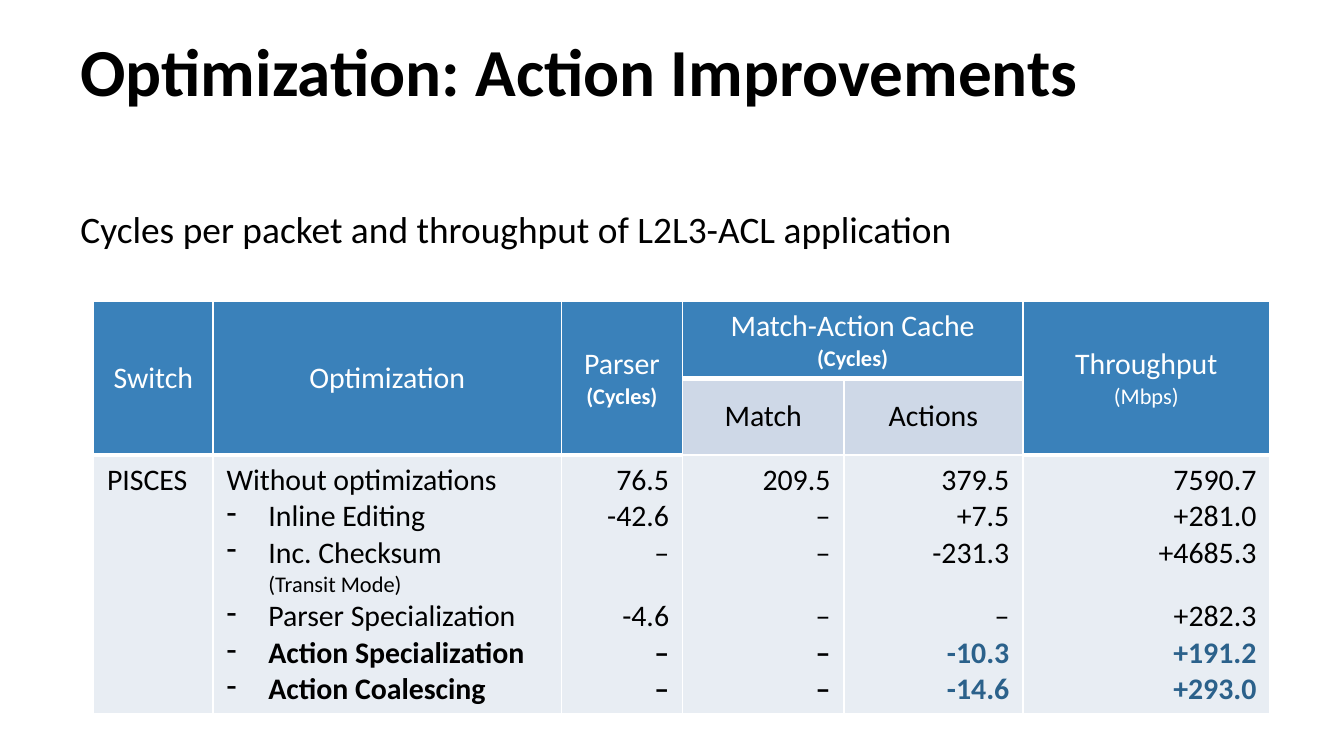
"""Build a slide with a table of action optimization results."""
from lxml import etree
from pptx import Presentation
from pptx.dml.color import RGBColor
from pptx.enum.text import MSO_ANCHOR, PP_ALIGN
from pptx.oxml import parse_xml
from pptx.oxml.ns import nsdecls, qn
from pptx.util import Cm, Pt

LEFT, CENTER, RIGHT = PP_ALIGN.LEFT, PP_ALIGN.CENTER, PP_ALIGN.RIGHT
TOP, MIDDLE, BOTTOM = MSO_ANCHOR.TOP, MSO_ANCHOR.MIDDLE, MSO_ANCHOR.BOTTOM
BLACK, WHITE, ACCENT = "000000", "FFFFFF", "2B618B"
HEADER_FILL, SUBHEADER_FILL, BODY_FILL = "3A81BA", "CED8E7", "E8EDF3"


def rgb(value):
    """Turn a hex string into a colour."""
    return RGBColor.from_string(value)


def style(paragraph, size, color=BLACK, bold=False, align=LEFT):
    """Set the alignment and font of a paragraph."""
    paragraph.alignment = align
    font = paragraph.font
    font.name, font.size, font.bold = "Calibri", Pt(size), bold
    font.color.rgb = rgb(color)


prs = Presentation()
prs.slide_width, prs.slide_height = Cm(25.4), Cm(14.29)
slide = prs.slides.add_slide(prs.slide_layouts[5])

title = slide.shapes.title
title.left, title.top, title.width, title.height = Cm(1.27), Cm(0.58), Cm(22.86), Cm(1.75)
title_frame = title.text_frame
title_frame.text = "Optimization: Action Improvements"
title_frame.vertical_anchor = BOTTOM
title_frame.margin_left = title_frame.margin_right = Cm(0.25)
title_frame.margin_top = title_frame.margin_bottom = Cm(0.25)
style(title_frame.paragraphs[0], 36, bold=True)

caption = slide.shapes.add_textbox(Cm(1.27), Cm(3.78), Cm(20.62), Cm(1.12)).text_frame
caption.word_wrap = True
caption.text = "Cycles per packet and throughput of L2L3-ACL application"
style(caption.paragraphs[0], 20)

column_widths = [2.26, 6.58, 2.29, 3.05, 3.38, 4.67]
row_heights = [1.45, 1.45, 4.9]
results = slide.shapes.add_table(
    3, 6, Cm(1.77), Cm(5.7), Cm(sum(column_widths)), Cm(sum(row_heights))
).table
results.first_row = results.horz_banding = False
for column, width in zip(results.columns, column_widths):
    column.width = Cm(width)
for row, height in zip(results.rows, row_heights):
    row.height = Cm(height)

for row_index in range(3):
    for column_index in range(6):
        cell = results.cell(row_index, column_index)
        for side in "LRTB":
            points = 3 if row_index == 0 and side == "B" else 1
            cell._tc.get_or_add_tcPr().append(parse_xml(
                f'<a:ln{side} {nsdecls("a")} w="{Pt(points)}"><a:solidFill>'
                f'<a:srgbClr val="{WHITE}"/></a:solidFill></a:ln{side}>'
            ))
        is_subheader = row_index == 1 and column_index in (3, 4)
        fill = BODY_FILL if row_index == 2 else SUBHEADER_FILL if is_subheader else HEADER_FILL
        cell.fill.solid()
        cell.fill.fore_color.rgb = rgb(fill)
        cell.vertical_anchor = TOP if row_index == 2 else MIDDLE

for column_index in (0, 1, 2, 5):
    results.cell(0, column_index).merge(results.cell(1, column_index))
results.cell(0, 3).merge(results.cell(0, 4))

headings = [
    (0, 0, "Switch", "", WHITE),
    (0, 1, "Optimization", "", WHITE),
    (0, 2, "Parser", "(Cycles)", WHITE),
    (0, 3, "Match-Action Cache", "(Cycles)", WHITE),
    (0, 5, "Throughput", "(Mbps)", WHITE),
    (1, 3, "Match", "", BLACK),
    (1, 4, "Actions", "", BLACK),
]
for row_index, column_index, heading, unit, color in headings:
    frame = results.cell(row_index, column_index).text_frame
    frame.text = heading
    style(frame.paragraphs[0], 16, color, align=CENTER)
    if unit:
        unit_line = frame.add_paragraph()
        unit_line.text = unit
        style(unit_line, 12, color, unit == "(Cycles)", CENTER)

switch = results.cell(2, 0).text_frame
switch.text = "PISCES"
style(switch.paragraphs[0], 16)

optimizations = [
    "Without optimizations", "Inline Editing", "Inc. Checksum",
    "Parser Specialization", "Action Specialization", "Action Coalescing",
]
frame = results.cell(2, 1).text_frame
frame.text = "\n".join(optimizations)
for index, paragraph in enumerate(frame.paragraphs):
    if index > 0:
        properties = paragraph._p.get_or_add_pPr()
        properties.set("marL", str(Cm(0.79)))
        properties.set("indent", str(-Cm(0.79)))
        etree.SubElement(properties, qn("a:buChar")).set("char", "-")
    style(paragraph, 16, bold=index >= 4)
checksum = frame.paragraphs[2]
checksum.add_line_break()
mode = checksum.add_run()
mode.text = "(Transit Mode)"
mode.font.size = Pt(12)

measurements = [
    ["76.5", "-42.6", "–", "-4.6", "–", "–"],
    ["209.5", "–", "–", "–", "–", "–"],
    ["379.5", "+7.5", "-231.3", "–", "-10.3", "-14.6"],
    ["7590.7", "+281.0", "+4685.3", "+282.3", "+191.2", "+293.0"],
]
for column_index, values in enumerate(measurements, start=2):
    frame = results.cell(2, column_index).text_frame
    frame.text = "\n".join(values)
    for index, paragraph in enumerate(frame.paragraphs):
        is_action = index >= 4
        color = ACCENT if is_action and column_index >= 4 else BLACK
        style(paragraph, 16, color, is_action, RIGHT)
    frame.paragraphs[2].space_after = Pt(14.6)

prs.save("out.pptx")
